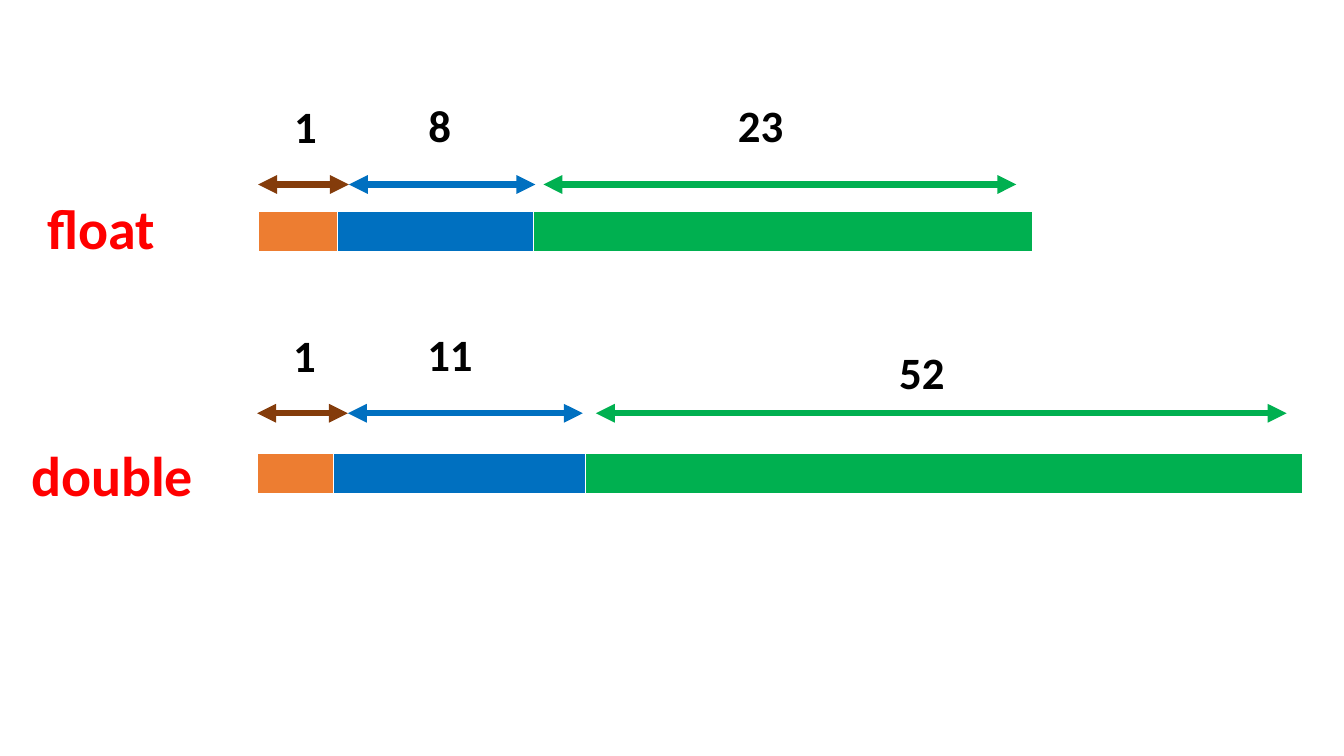
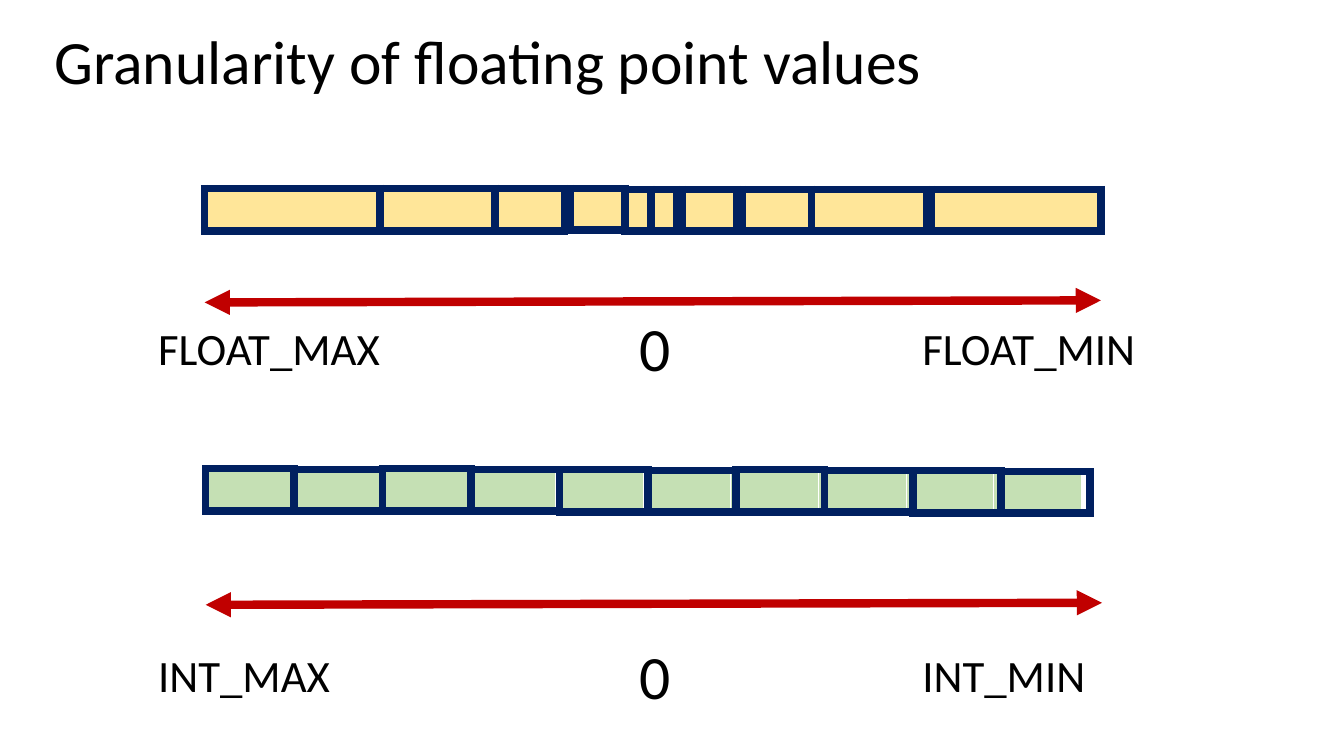
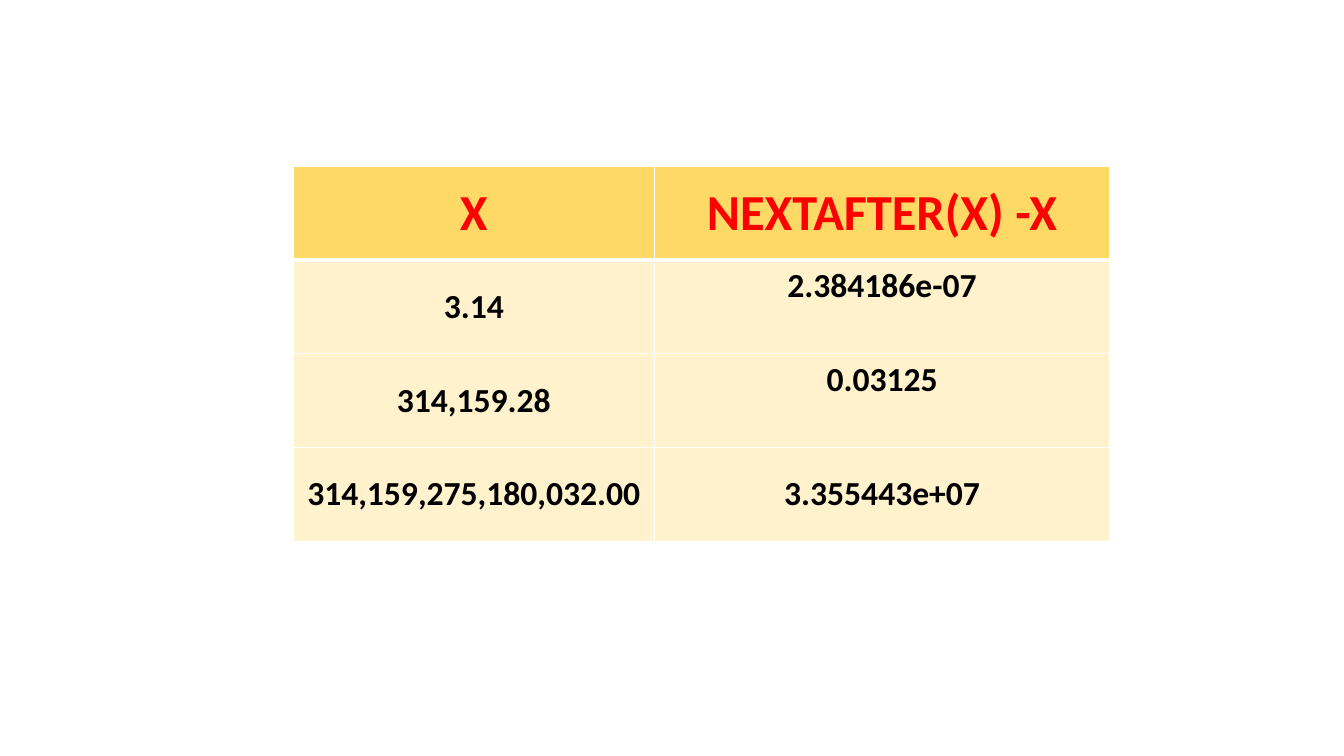
"""Build three slides on the layout and granularity of floating point numbers."""
from dataclasses import dataclass
from lxml import etree
from pptx import Presentation
from pptx import util as u
from pptx.dml.color import RGBColor
from pptx.enum import shapes, text
from pptx.oxml.ns import qn


@dataclass(frozen=True)
class Theme:
    font: str = "Calibri"
    black: str = "000000"
    white: str = "FFFFFF"
    red: str = "FF0000"
    orange: str = "ED7D31"
    brown: str = "843C0B"
    blue: str = "0070C0"
    green: str = "00B050"
    navy: str = "002060"
    crimson: str = "C00000"
    cream: str = "FFE699"
    mint: str = "C5E0B4"
    gold: str = "FFD966"
    pale: str = "FFF2CC"
    title: int = 44
    name: int = 40
    heading: int = 36
    label: int = 32
    body: int = 24
    plain_table: str = "{2D5ABB26-0587-4C30-8999-92F81FD0307C}"


theme = Theme()


def format_text(frame, size, color, bold=False, align=text.PP_ALIGN.LEFT):
    """Format every paragraph of a text frame."""
    for paragraph in frame.paragraphs:
        paragraph.alignment = align
        values = {"name": theme.font, "size": u.Pt(size), "bold": bold}
        for attribute, value in values.items():
            setattr(paragraph.font, attribute, value)
        paragraph.font.color.rgb = RGBColor.from_string(color)


def add_grid(slide, left, top, widths, heights, fills, edge=theme.white, edge_width=1, rule_width=3):
    """Add a table with one fill per cell and a rule below its first row."""
    shape = slide.shapes.add_table(
        len(heights), len(widths), u.Inches(left), u.Inches(top),
        u.Inches(sum(widths)), u.Inches(sum(heights)))
    shape.element.find(".//" + qn("a:tableStyleId")).text = theme.plain_table
    table = shape.table
    table.first_row = table.horz_banding = False
    for column, width in zip(table.columns, widths):
        column.width = u.Inches(width)
    for row, height in zip(table.rows, heights):
        row.height = u.Inches(height)
    for index, tc in enumerate(shape.element.iter(qn("a:tc"))):
        row = index // len(widths)
        for side in "LRTB":
            width = rule_width if (row, side) in ((0, "B"), (1, "T")) else edge_width
            line = etree.SubElement(tc.get_or_add_tcPr(), qn("a:ln" + side), w=str(u.Pt(width)))
            fill = etree.SubElement(line, qn("a:solidFill"))
            etree.SubElement(fill, qn("a:srgbClr"), val=edge)
    for cell, color in zip(table.iter_cells(), fills):
        if color:
            cell.fill.solid()
            cell.fill.fore_color.rgb = RGBColor.from_string(color)
        else:
            cell.fill.background()
    return table


presentation = Presentation()
presentation.slide_width = u.Inches(13.33)
presentation.slide_height = u.Inches(7.5)
title_only, blank = presentation.slide_layouts[5], presentation.slide_layouts[6]
bits, granularity, gaps = [
    presentation.slides.add_slide(layout) for layout in (blank, title_only, blank)]

field_fills = (theme.orange, theme.blue, theme.green)
add_grid(bits, 2.56, 2.1, (0.79, 1.94, 4.95), (0.41,), field_fills)
add_grid(bits, 2.55, 4.5, (0.76, 2.5, 7.11), (0.41,), field_fills)

title = granularity.shapes.title
title_box = {"left": 0.44, "top": 0.18, "width": 9.89, "height": 0.84}
for attribute, value in title_box.items():
    setattr(title, attribute, u.Inches(value))
title.text_frame.text = "Granularity of floating point values"
title.text_frame.vertical_anchor = text.MSO_ANCHOR.TOP
format_text(title.text_frame, theme.title, theme.black)

float_widths = (1.73, 1.14, 0.71, 0.59, 0.27, 0.25, 0.64, 0.68, 1.19, 1.69)
add_grid(granularity, 2.03, 1.88, float_widths, (0.41,), [theme.cream] * 10)
add_grid(granularity, 2.03, 4.66, [0.87] * 10, (0.41,), [theme.mint] * 10)

float_outlines = [
    (2.03, 1.87, 1.74, 0.42), (3.77, 1.87, 1.14, 0.42), (4.91, 1.87, 0.69, 0.42),
    (5.66, 1.87, 0.54, 0.41), (6.77, 1.88, 0.54, 0.41), (7.36, 1.88, 0.69, 0.41),
    (8.05, 1.88, 1.14, 0.41), (9.24, 1.88, 1.68, 0.41), (6.2, 1.88, 0.26, 0.41),
    (6.45, 1.88, 0.26, 0.41)]
int_tops = (4.65, 4.66, 4.65, 4.66, 4.66, 4.67, 4.66, 4.67, 4.67, 4.68)
int_outlines = [
    (2.04 + 7.89 * step / 9, top, 0.88, 0.41 if step % 2 else 0.42)
    for step, top in enumerate(int_tops)]
for left, top, width, height in float_outlines + int_outlines:
    add_grid(granularity, left, top, (width,), (height,), (None,), theme.navy, 6, 6)

arrows = [
    (bits, 2.56, 1.83, 3.46, 1.83, theme.brown, 4.5),
    (bits, 3.46, 1.83, 5.31, 1.83, theme.blue, 4.5),
    (bits, 5.39, 1.83, 10.08, 1.83, theme.green, 4.5),
    (bits, 2.55, 4.1, 3.45, 4.1, theme.brown, 4.5),
    (bits, 3.45, 4.1, 5.78, 4.1, theme.blue, 4.5),
    (bits, 5.91, 4.1, 12.76, 4.1, theme.green, 4.5),
    (granularity, 2.03, 3, 10.92, 2.98, theme.crimson, 6),
    (granularity, 2.04, 6, 10.93, 5.98, theme.crimson, 6)]
for slide, *ends, color, width in arrows:
    arrow = slide.shapes.add_connector(
        shapes.MSO_CONNECTOR.STRAIGHT, *[u.Inches(value) for value in ends])
    arrow.line.color.rgb = RGBColor.from_string(color)
    arrow.line.width = u.Pt(width)
    properties = arrow.element.spPr
    for end in ("a:headEnd", "a:tailEnd"):
        etree.SubElement(properties.find(qn("a:ln")), qn(end), type="triangle")
    etree.SubElement(properties, qn("a:effectLst"))

number = (0.64, theme.label, theme.black, True)
type_name = (0.77, theme.name, theme.red, True)
zero = (0.84, theme.title, theme.black, False)
limit = (0.64, theme.label, theme.black, False)
labels = [
    (bits, "1", 2.82, 0.93, 1.07, number),
    (bits, "8", 4.15, 0.92, 2.04, number),
    (bits, "23", 7.22, 0.92, 2.04, number),
    (bits, "float", 0.37, 1.87, 1.84, type_name),
    (bits, "double", 0.21, 4.32, 1.84, type_name),
    (bits, "1", 2.81, 3.2, 1.07, number),
    (bits, "11", 4.14, 3.19, 2.04, number),
    (bits, "52", 8.82, 3.37, 2.04, number),
    (granularity, "0", 6.24, 3.03, 0.94, zero),
    (granularity, "FLOAT_MAX", 1.47, 3.13, 4.73, limit),
    (granularity, "FLOAT_MIN", 9.05, 3.13, 3.24, limit),
    (granularity, "0", 6.24, 6.28, 0.94, zero),
    (granularity, "INT_MAX", 1.47, 6.38, 4.73, limit),
    (granularity, "INT_MIN", 9.05, 6.38, 2.75, limit)]
for slide, wording, left, top, width, (height, size, color, bold) in labels:
    box = slide.shapes.add_textbox(*[u.Inches(value) for value in (left, top, width, height)])
    frame = box.text_frame
    frame.text = wording
    frame.word_wrap = True
    frame.auto_size = text.MSO_AUTO_SIZE.SHAPE_TO_FIT_TEXT
    format_text(frame, size, color, bold)

rows = [
    ("X", "NEXTAFTER(X) -X"),
    ("3.14", "2.384186e-07"),
    ("314,159.28", "0.03125"),
    ("314,159,275,180,032.00", "3.355443e+07")]
gap_table = add_grid(
    gaps, 2.91, 1.65, (3.58, 4.52), [0.93] * 4, [theme.gold] * 2 + [theme.pale] * 6)
for row, wordings in enumerate(rows):
    size, color = (theme.body, theme.black) if row else (theme.heading, theme.red)
    for column, wording in enumerate(wordings):
        cell = gap_table.cell(row, column)
        cell.text_frame.text = wording
        cell.vertical_anchor = text.MSO_ANCHOR.MIDDLE
        format_text(cell.text_frame, size, color, True, text.PP_ALIGN.CENTER)
for row in (1, 2):
    gap_table.cell(row, 1).margin_bottom = u.Inches(0.46)

presentation.save("out.pptx")
